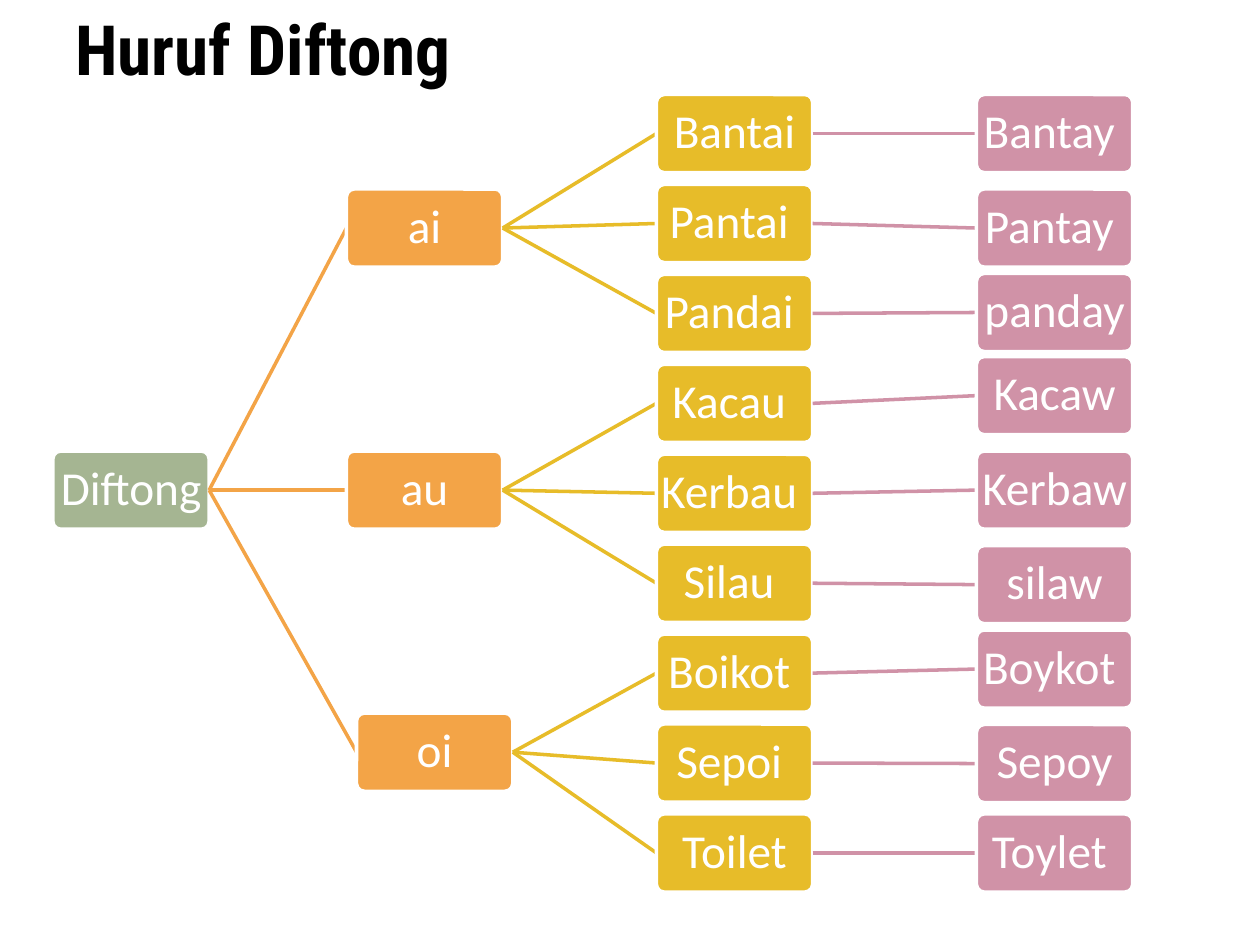
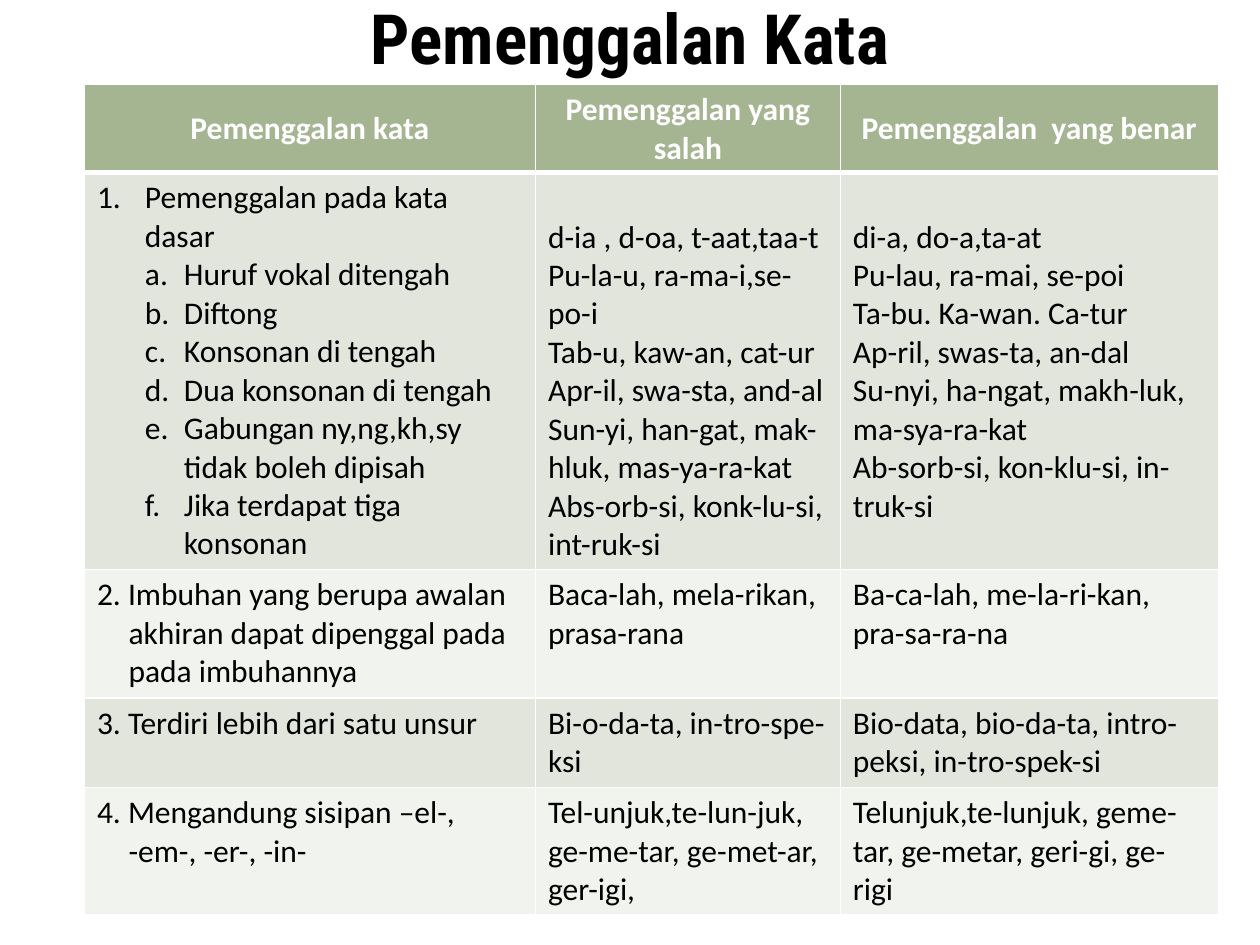
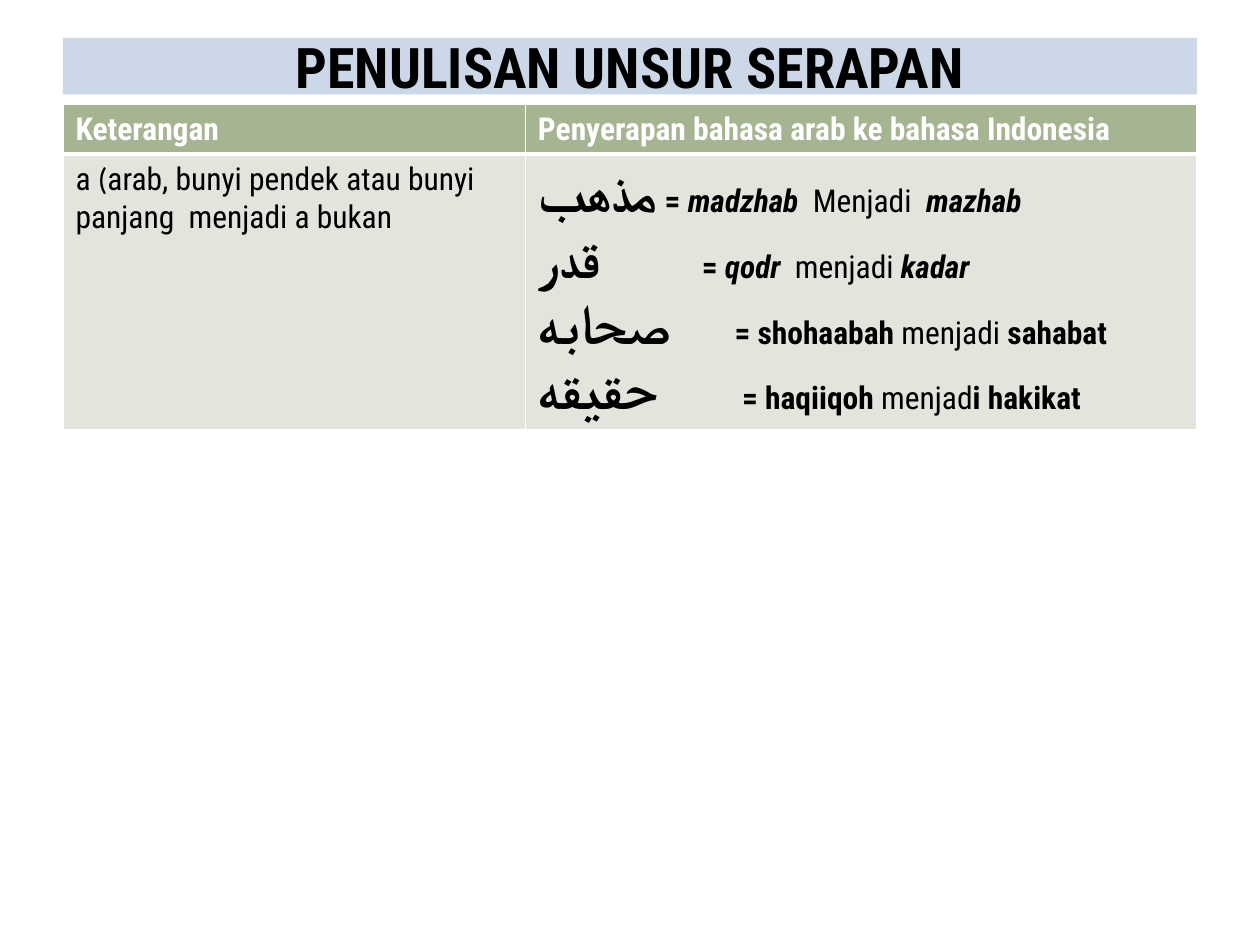
from lxml import etree
from pptx import Presentation
from pptx.dml.color import RGBColor
from pptx.enum.shapes import MSO_CONNECTOR, MSO_SHAPE
from pptx.enum.text import MSO_ANCHOR, PP_ALIGN
from pptx.oxml.ns import qn
from pptx.util import Inches, Pt

LINE, RECT, ROUND = MSO_CONNECTOR.STRAIGHT, MSO_SHAPE.RECTANGLE, MSO_SHAPE.ROUNDED_RECTANGLE
MID, TOP = MSO_ANCHOR.MIDDLE, MSO_ANCHOR.TOP
LEFT, CENTER = PP_ALIGN.LEFT, PP_ALIGN.CENTER
BODY, HEAD = "Calibri", "Roboto Condensed"
WHITE, BLACK, BLUE = "FFFFFF", "000000", "CCD8E7"
GREEN, ORANGE, GOLD, PINK = "A5B592", "F3A447", "E7BC29", "D092A7"
BANDS = "E1E5DC", "F0F3EE"

# Slide 1: vowel, left edge, and (word, spoken form, top of spoken form)
ROOT = "Diftong "
TREE = [
    ("ai", 2.75, [("Bantai", "Bantay ", 0.75), ("Pantai ", "Pantay ", 1.5),
                  ("Pandai ", "panday", 2.17)]),
    ("au", 2.75, [("Kacau ", "Kacaw", 2.83), ("Kerbau ", "Kerbaw ", 3.58),
                  ("Silau ", "silaw", 4.33)]),
    ("oi", 2.83, [("Boikot ", "Boykot ", 5), ("Sepoi ", "Sepoy", 5.75),
                  ("Toilet", "Toylet ", 6.46)]),
]
NODE_W, NODE_H, NODE_PAD = 1.24, 0.62, 0.01
ROOT_X, WORD_X, SPOKEN_X = 0.42, 5.21, 7.75
VOWEL_Y, VOWEL_STEP = 1.5, 2.08
WORD_Y, WORD_STEP = 0.75, (6.46 - 0.75) / 8

# Slide 2: each cell is a list of paragraphs
SPLITS = [
    [["Pemenggalan kata"], ["Pemenggalan yang salah"], ["Pemenggalan  yang benar"]],
    [["Pemenggalan pada kata dasar", "Huruf vokal ditengah", "Diftong",
      "Konsonan di tengah", "Dua konsonan di tengah",
      "Gabungan ny,ng,kh,sy tidak boleh dipisah", "Jika terdapat tiga konsonan"],
     ["d-ia , d-oa, t-aat,taa-t", "Pu-la-u, ra-ma-i,se-po-i", "Tab-u, kaw-an, cat-ur",
      "Apr-il, swa-sta, and-al", "Sun-yi, han-gat, mak-hluk, mas-ya-ra-kat",
      "Abs-orb-si, konk-lu-si, int-ruk-si"],
     ["di-a, do-a,ta-at", "Pu-lau, ra-mai, se-poi", "Ta-bu. Ka-wan. Ca-tur",
      "Ap-ril, swas-ta, an-dal", "Su-nyi, ha-ngat, makh-luk, ma-sya-ra-kat",
      "Ab-sorb-si, kon-klu-si, in-truk-si"]],
    [["2. Imbuhan yang berupa awalan akhiran dapat dipenggal pada pada imbuhannya"],
     ["Baca-lah, mela-rikan, prasa-rana"], ["Ba-ca-lah, me-la-ri-kan, pra-sa-ra-na"]],
    [["3. Terdiri lebih dari satu unsur"], ["Bi-o-da-ta, in-tro-spe-ksi"],
     ["Bio-data, bio-da-ta, intro-peksi, in-tro-spek-si"]],
    [["4. Mengandung sisipan –el-, -em-, -er-, -in-"],
     ["Tel-unjuk,te-lun-juk, ge-me-tar, ge-met-ar, ger-igi, "],
     ["Telunjuk,te-lunjuk, geme-tar, ge-metar, geri-gi, ge-rigi"]],
]

# Slide 3: runs are (text, style), where b is bold and i is italic
LOAN_HEAD = ["Keterangan ", "Penyerapan bahasa arab ke bahasa Indonesia"]
NOTE = [("a ", HEAD), ("(", BODY), ("arab, bunyi pendek atau bunyi panjang  menjadi a bukan ", HEAD)]
LOANS = [  # Arabic word, tab stop, runs
    ("مذهب", None, [(" = ", "b"), ("madzhab ", "bi"), (" Menjadi  ", ""), ("mazhab", "bi")]),
    ("قدر", 1.3, [("\t= ", "b"), ("qodr  ", "bi"), ("menjadi ", ""), ("kadar", "bi")]),
    ("صحابه", 1.56, [("\t= shohaabah ", "b"), ("menjadi ", ""), ("sahabat", "b")]),
    ("حقيقه", 1.62, [("\t= haqiiqoh ", "b"), ("menjad", ""), ("i hakikat", "b")]),
]

deck = Presentation()
deck.slide_width, deck.slide_height = Inches(10), Inches(7.5)


def rgb(code):
    return RGBColor.from_string(code)


def style(font, size, color, name=BODY, bold=False, italic=False):
    font.size, font.name, font.bold, font.italic = Pt(size), name, bold, italic
    font.color.rgb = rgb(color)


def add_slide(text, y, high, size=39.6, align=CENTER, fill=None):
    """Start a slide with its title."""
    slide = deck.slides.add_slide(deck.slide_layouts[6])
    box = [Inches(v) for v in (0.5, y, 9, high)]
    if fill:
        title = slide.shapes.add_shape(RECT, *box)
        title.shadow.inherit = False
        title.fill.solid()
        title.fill.fore_color.rgb = rgb(fill)
        title.line.fill.background()
    else:
        title = slide.shapes.add_textbox(*box)
    frame = title.text_frame
    frame.word_wrap, frame.vertical_anchor = True, MID
    para = frame.paragraphs[0]
    para.text, para.alignment = text, align
    style(para.font, size, BLACK, HEAD, True)
    return slide


def add_node(slide, text, x, y, color):
    node = slide.shapes.add_shape(ROUND, *[Inches(v) for v in (x, y, NODE_W, NODE_H)])
    node.adjustments[0] = 0.1
    node.shadow.inherit = False
    node.fill.solid()
    node.fill.fore_color.rgb = rgb(color)
    node.line.color.rgb, node.line.width = rgb(WHITE), Pt(2)
    frame = node.text_frame
    frame.word_wrap, frame.vertical_anchor = True, MID
    frame.margin_left = frame.margin_right = Inches(NODE_PAD)
    frame.margin_top = frame.margin_bottom = Inches(NODE_PAD)
    para = frame.paragraphs[0]
    para.text, para.alignment, para.line_spacing = text, CENTER, 0.9
    style(para.font, 27, WHITE)


def add_branch(slide, start, text, x, y, color):
    """Link a node at start (left, top) to a new node at x, y."""
    ends = start[0] + NODE_W, start[1] + NODE_H / 2, x, y + NODE_H / 2
    link = slide.shapes.add_connector(LINE, *[Inches(v) for v in ends])
    link.line.color.rgb, link.line.width = rgb(color), Pt(2)
    etree.SubElement(link._element.spPr, qn("a:effectLst"))
    add_node(slide, text, x, y, color)
    return x, y


def add_table(slide, x, y, cols, rows):
    """Add a table with white rules, a green head and banded rows."""
    shape = slide.shapes.add_table(len(rows), len(cols), Inches(x), Inches(y),
                                   Inches(sum(cols)), Inches(sum(rows)))
    table = shape.table
    for col, wide in zip(table.columns, cols):
        col.width = Inches(wide)
    for r, (row, high) in enumerate(zip(table.rows, rows)):
        row.height = Inches(high)
        for cell in row.cells:
            props = cell._tc.get_or_add_tcPr()
            for side in "LRTB":
                thick = (r, side) in ((0, "B"), (1, "T"))
                rule = etree.SubElement(props, qn("a:ln" + side), w=str(Pt(3 if thick else 1)))
                paint = etree.SubElement(rule, qn("a:solidFill"))
                etree.SubElement(paint, qn("a:srgbClr"), val=WHITE)
            cell.fill.solid()
            cell.fill.fore_color.rgb = rgb(BANDS[(r - 1) % 2] if r else GREEN)
    return table


def indent(para, left, hang, number=None):
    props = para._p.get_or_add_pPr()
    props.set("marL", str(Inches(left)))
    props.set("indent", str(Inches(-hang)))
    if number:
        etree.SubElement(props, qn("a:buFont"), typeface="+mj-lt")
        etree.SubElement(props, qn("a:buAutoNum"), type=number)


def get_paras(frame, count):
    return [frame.paragraphs[0]] + [frame.add_paragraph() for _ in range(count - 1)]


# Slide 1: tree of diphthongs
slide = add_slide("Huruf Diftong", 0.17, 0.42, align=LEFT)
root = ROOT_X, VOWEL_Y + VOWEL_STEP
add_node(slide, ROOT, *root, GREEN)
for v, (vowel, x, words) in enumerate(TREE):
    stem = add_branch(slide, root, vowel, x, VOWEL_Y + v * VOWEL_STEP, ORANGE)
    for w, (word, spoken, y) in enumerate(words):
        leaf = add_branch(slide, stem, word, WORD_X,
                          WORD_Y + (v * len(words) + w) * WORD_STEP, GOLD)
        add_branch(slide, leaf, spoken, SPOKEN_X, y, PINK)

# Slide 2: splitting words
slide = add_slide("Pemenggalan Kata", 0.17, 0.25)
table = add_table(slide, 0.67, 0.67, [3.58, 2.42, 3], [0.7, 3.15, 1.02, 0.71, 1.01])
for r, row in enumerate(SPLITS):
    for c, lines in enumerate(row):
        cell = table.cell(r, c)
        cell.vertical_anchor = TOP if r else MID
        if r == 1 and c:  # start level with the second line of the first column
            cell.margin_top = Inches(0.36)
        for n, (para, line) in enumerate(zip(get_paras(cell.text_frame, len(lines)), lines)):
            para.text, para.alignment = line, LEFT if r else CENTER
            if r == 1 and c == 0:
                indent(para, *((0.69, 0.31, "alphaLcPeriod") if n else
                               (0.38, 0.38, "arabicPeriod")))
            elif r and c == 0:
                indent(para, 0.25, 0.25)
            style(para.font, 18, BLACK if r else WHITE, bold=not r)

# Slide 3: loan words
slide = add_slide("PENULISAN UNSUR SERAPAN", 0.3, 0.45, 32, fill=BLUE)
table = add_table(slide, 0.5, 0.83, [3.67, 5.33], [0.39, 1.87])
for c, text in enumerate(LOAN_HEAD):
    para = table.cell(0, c).text_frame.paragraphs[0]
    para.text = text
    style(para.font, 18, WHITE, HEAD, True)
para = table.cell(1, 0).text_frame.paragraphs[0]
for text, name in NOTE:
    run = para.add_run()
    run.text = text
    style(run.font, 18, BLACK, name)
frame = table.cell(1, 1).text_frame
for para, (word, stop, runs) in zip(get_paras(frame, len(LOANS)), LOANS):
    if stop:
        tabs = etree.SubElement(para._p.get_or_add_pPr(), qn("a:tabLst"))
        etree.SubElement(tabs, qn("a:tab"), pos=str(Inches(stop)), algn="l")
    for text, look, size in [(word, "b", 32)] + [(*run, 18) for run in runs]:
        run = para.add_run()
        run.text = text
        style(run.font, size, BLACK, HEAD, "b" in look, "i" in look)
        # Arabic letters take their font from a:cs
        etree.SubElement(run._r.get_or_add_rPr(), qn("a:cs"), typeface=HEAD)

deck.save("out.pptx")
